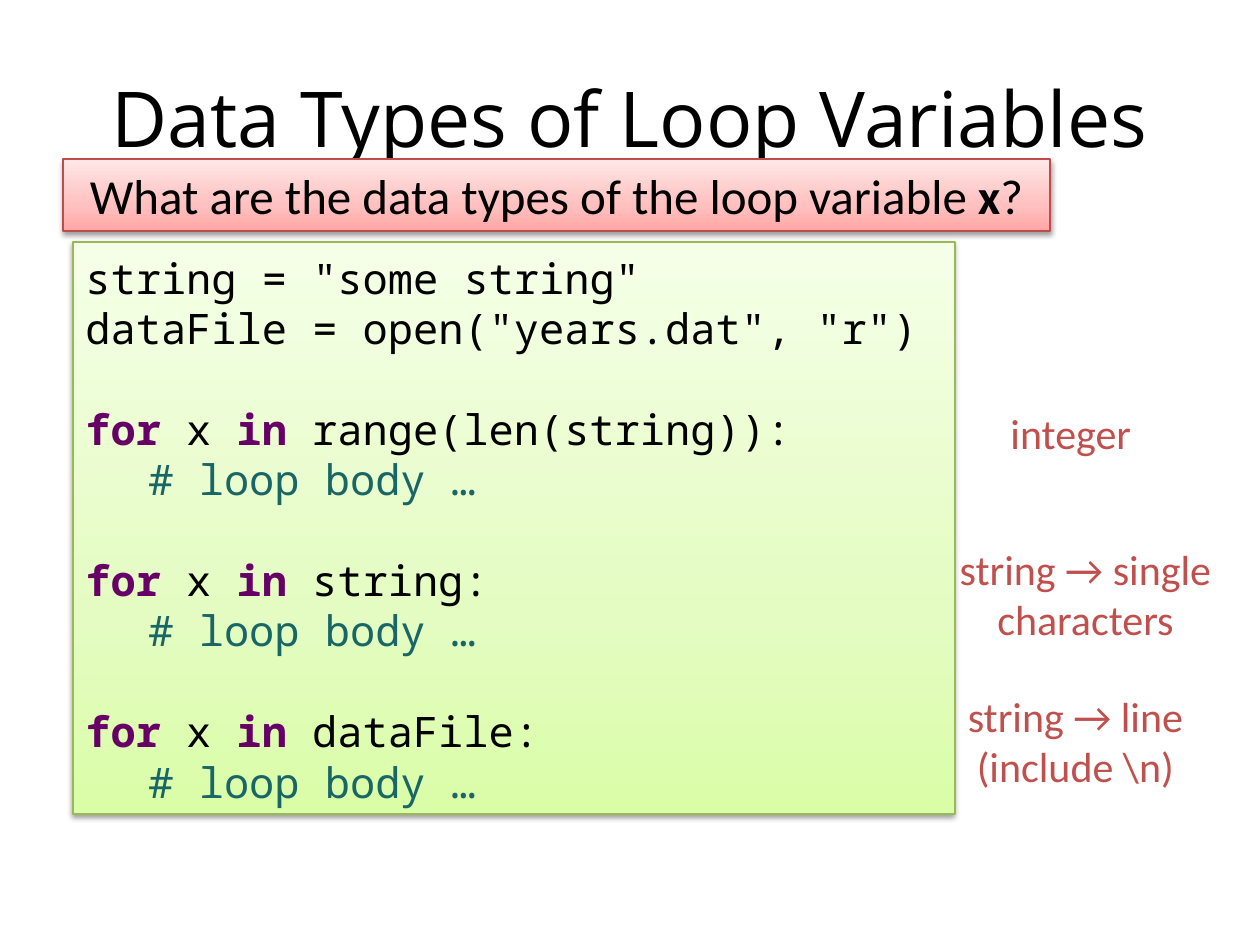
from dataclasses import dataclass

from lxml import etree
from pptx import Presentation
from pptx.dml.color import RGBColor
from pptx.enum.shapes import MSO_SHAPE
from pptx.enum.text import MSO_ANCHOR, PP_ALIGN
from pptx.oxml import parse_xml
from pptx.oxml.ns import qn
from pptx.util import Pt

RECTANGLE = MSO_SHAPE.RECTANGLE
TOP, MIDDLE = MSO_ANCHOR.TOP, MSO_ANCHOR.MIDDLE
LEFT, CENTER = PP_ALIGN.LEFT, PP_ALIGN.CENTER
EMU_PER_PIXEL = 914400 / 126
DRAWING = 'xmlns:a="http://schemas.openxmlformats.org/drawingml/2006/main"'


@dataclass(frozen=True)
class Theme:
    """Colours, fonts and type sizes of the slide."""
    ink: str = "000000"
    answer: str = "C0504D"
    keyword: str = "660066"
    comment: str = "196666"
    green: tuple = ((0, "DAFDA7"), (35, "E4FCC2"), (100, "F5FFE7"))
    green_line: str = "98B955"
    red: tuple = ((0, "FFA6A5"), (35, "FFC0BF"), (100, "FFE7E7"))
    red_line: str = "BF4C48"
    title_font: str = "Open Sans"
    body_font: str = "Calibri"
    code_font: str = "Noto Sans Mono"
    title_size: int = 44
    banner_size: int = 28
    body_size: int = 24
    code_line: float = 28.8


class SlideBuilder:
    """Places styled elements on one slide, measured in pixels."""

    def __init__(self, presentation, theme):
        self.theme = theme
        self.slide = presentation.slides.add_slide(presentation.slide_layouts[6])

    @staticmethod
    def emu(pixels):
        return round(pixels * EMU_PER_PIXEL)

    @staticmethod
    def apply(target, values):
        for name, value in values.items():
            setattr(target, name, value)

    def add_runs(self, paragraph, runs, font, size, color):
        for text, changes in runs:
            run = paragraph.add_run()
            run.text = text
            style = {"color": color, "bold": False, **changes}
            run.font.color.rgb = RGBColor.from_string(style["color"])
            self.apply(run.font, {"name": font, "size": Pt(size), "bold": style["bold"]})

    def text(self, box, content, font, size, color, align=CENTER, anchor=TOP, wrap=True):
        shape = self.slide.shapes.add_textbox(*map(self.emu, box))
        self.apply(shape.text_frame, {"word_wrap": wrap, "vertical_anchor": anchor})
        paragraph = shape.text_frame.paragraphs[0]
        paragraph.alignment = align
        self.add_runs(paragraph, [(content, {})], font, size, color)

    def panel(self, box, stops, line):
        shape = self.slide.shapes.add_shape(RECTANGLE, *map(self.emu, box))
        shape.fill.gradient()
        shape.fill.gradient_angle = 90
        stop_list = shape._element.spPr.find(".//" + qn("a:gsLst"))
        for stop in list(stop_list):
            stop_list.remove(stop)
        for position, color in stops:
            stop = etree.SubElement(stop_list, qn("a:gs"), pos=str(position * 1000))
            etree.SubElement(stop, qn("a:srgbClr"), val=color)
        shape.line.color.rgb = RGBColor.from_string(line)
        shape.line.width = Pt(0.75)
        shape._element.spPr.append(parse_xml(
            f'<a:effectLst {DRAWING}><a:outerShdw blurRad="{Pt(3.1)}" dist="{Pt(1.6)}" '
            'dir="5400000" rotWithShape="0"><a:srgbClr val="000000">'
            '<a:alpha val="38000"/></a:srgbClr></a:outerShdw></a:effectLst>'))
        self.apply(shape.text_frame, {"word_wrap": True, "vertical_anchor": TOP})
        return shape.text_frame

    def banner(self, box, runs):
        theme = self.theme
        paragraph = self.panel(box, theme.red, theme.red_line).paragraphs[0]
        paragraph.alignment = CENTER
        self.add_runs(paragraph, runs, theme.body_font, theme.banner_size, theme.ink)

    def code(self, box, blocks):
        theme = self.theme
        frame = self.panel(box, theme.green, theme.green_line)
        frame.margin_top = self.emu(10)
        paragraph = frame.paragraphs[0]
        for block_index, block in enumerate(blocks):
            for line_index, (indent, runs) in enumerate(block):
                if block_index or line_index:
                    paragraph = frame.add_paragraph()
                starts_block = block_index and not line_index
                self.apply(paragraph, {
                    "alignment": LEFT,
                    "line_spacing": Pt(theme.code_line),
                    "space_before": Pt(theme.code_line if starts_block else 0)})
                paragraph._p.get_or_add_pPr().set("marL", str(self.emu(indent)))
                self.add_runs(paragraph, runs, theme.code_font, theme.body_size, theme.ink)


def loop_block(theme, iterable):
    keyword = {"color": theme.keyword, "bold": True}
    header = [("for", keyword), (" x ", {}), ("in", keyword), (f" {iterable}:", {})]
    return [(0, header), (63, [("# loop body …", {"color": theme.comment})])]


def main():
    theme = Theme()
    presentation = Presentation()
    presentation.slide_width = SlideBuilder.emu(1260)
    presentation.slide_height = SlideBuilder.emu(945)
    builder = SlideBuilder(presentation, theme)

    builder.text((63, 38, 1134, 157), "Data Types of Loop Variables",
                 theme.title_font, theme.title_size, theme.ink, anchor=MIDDLE)
    setup = [(0, [(line, {})]) for line in (
        'string = "some string"', 'dataFile = open("years.dat", "r")')]
    loops = [loop_block(theme, name) for name in ("range(len(string))", "string", "dataFile")]
    builder.code((73, 242, 882, 572), [setup, *loops])
    answers = (
        ((998, 401, 146, 63), "integer", LEFT, False),
        ((901, 537, 369, 115), "string → single characters", CENTER, True),
        ((891, 684, 369, 115), "string → line (include \\n)", CENTER, True))
    for box, content, align, wrap in answers:
        builder.text(box, content, theme.body_font, theme.body_size, theme.answer,
                     align=align, wrap=wrap)
    builder.banner((63, 159, 987, 72), [
        ("What are the data types of the loop variable ", {}), ("x", {"bold": True}), ("?", {})])
    presentation.save("out.pptx")


main()
